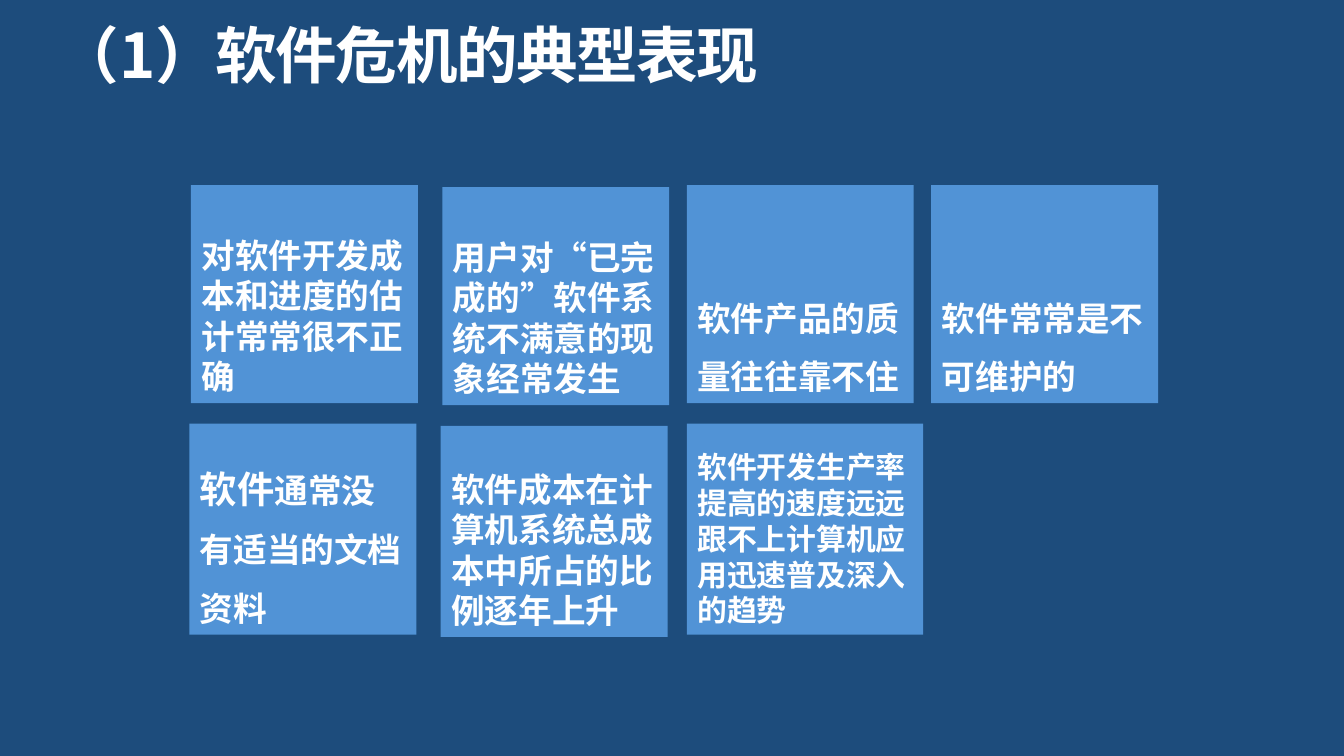
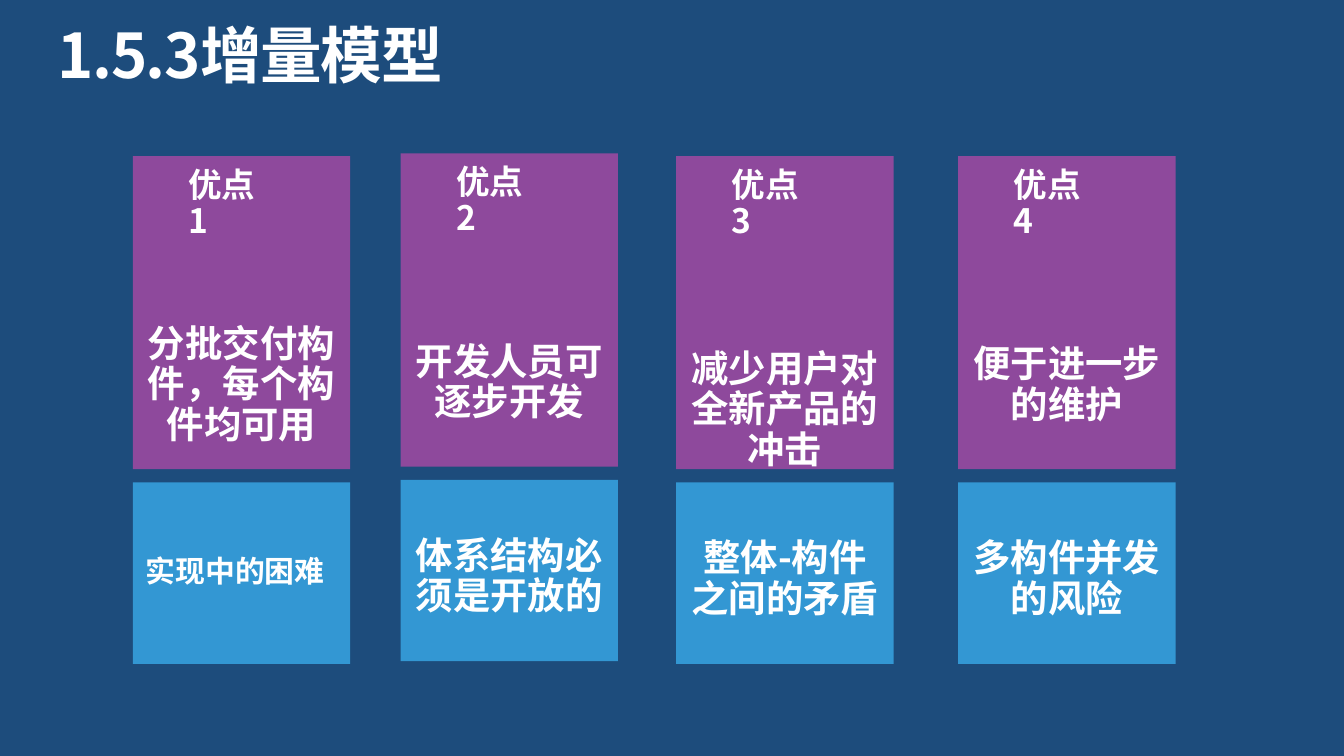
from dataclasses import dataclass

from lxml.etree import SubElement
from pptx import Presentation
from pptx.dml.color import RGBColor as RGB
from pptx.enum.shapes import MSO_SHAPE as Shape
from pptx.enum.text import MSO_ANCHOR as Anchor, MSO_AUTO_SIZE as AutoSize, PP_ALIGN as Align
from pptx.oxml.ns import qn
from pptx.util import Cm, Pt


@dataclass(frozen=True)
class Theme:
    font: str = "Noto Sans CJK SC"
    back: str = "1D4C7C"
    text: str = "FFFFFF"
    symptom: str = "5193D6"
    benefit: str = "8E499C"
    drawback: str = "3397D3"
    title: int = 33
    large: int = 20
    medium: int = 18
    small: int = 16


THEME = Theme()


def write(tf, *runs, align=Align.LEFT, leading=1.0, tracking=None):
    """Fill a text frame with one paragraph of (text, size) runs."""
    p = tf.paragraphs[0]
    p.alignment, p.line_spacing = align, leading
    for text, size in runs:
        r = p.add_run()
        r.text = text
        font = r.font
        font.name, font.size, font.bold = THEME.font, Pt(size), True
        font.color.rgb = RGB.from_string(THEME.text)
        props = r._r.get_or_add_rPr()
        SubElement(props, qn("a:ea"), typeface=THEME.font)
        if tracking is not None:
            props.set("spc", str(round(tracking * 100)))


def set_frame(tf, insets, anchor=Anchor.TOP):
    tf.word_wrap = True
    tf.vertical_anchor = anchor
    tf.margin_left, tf.margin_top, tf.margin_right, tf.margin_bottom = map(Cm, insets)


class Deck:
    def __init__(self, theme):
        self.theme = theme
        self.prs = Presentation()
        self.prs.slide_width, self.prs.slide_height = Cm(25.4), Cm(14.29)
        fill = self.prs.slide_master.background.fill
        fill.solid()
        fill.fore_color.rgb = RGB.from_string(theme.back)
        self.s = None

    def slide(self, title):
        self.s = self.prs.slides.add_slide(self.prs.slide_layouts[6])
        self.text(title, 1.09, 0.48, 23.24, 1.27, self.theme.title,
                  insets=(0, 0, 0, 0), tracking=-0.8)

    def text(self, text, x, y, w, h, size, insets, **style):
        tf = self.s.shapes.add_textbox(Cm(x), Cm(y), Cm(w), Cm(h)).text_frame
        set_frame(tf, insets)
        tf.auto_size = AutoSize.SHAPE_TO_FIT_TEXT
        write(tf, (text, size), leading=0.9, **style)

    def tile(self, runs, x, y, w, h, color, insets, anchor, **style):
        sp = self.s.shapes.add_shape(Shape.RECTANGLE, Cm(x), Cm(y), Cm(w), Cm(h))
        sp.shadow.inherit = False
        sp.fill.solid()
        sp.fill.fore_color.rgb = RGB.from_string(color)
        sp.line.fill.background()
        set_frame(sp.text_frame, insets, anchor)
        write(sp.text_frame, *runs, **style)


def symptoms_slide(deck):
    t = deck.theme
    deck.slide("（1）软件危机的典型表现")

    # Rows of tiles: left edges, top, height, then (runs, leading, width)
    wide, loose = 4.47, 1.45
    width = 4.29
    rows = [
        ((3.61, 8.36, 12.98, 17.6), 3.5, 4.12, [
            ([("对软件开发成本和进度的估计常常很不正确", t.medium)], 1, width),
            ([("用户对“已完成的”软件系统不满意的现象经常发生", t.medium)], 1, width),
            ([("软件产品的质量往往靠不住", t.medium)], loose, width),
            ([("软件常常是不可维护的", t.medium)], loose, width),
        ]),
        ((3.58, 8.33, 12.98), 8.01, 3.99, [
            ([("软件", t.large), ("通常没有适当的文档资料", t.medium)], loose, width),
            ([("软件成本在计算机系统总成本中所占的比例逐年上升", t.medium)], 1, width),
            ([("软件开发生产率提高的速度远远跟不上计算机应用迅速普及深入的趋势",
               t.small)], 1, wide),
        ]),
    ]
    for lefts, top, height, tiles in rows:
        for col, (x, (runs, leading, w)) in enumerate(zip(lefts, tiles)):
            drop = 0.04 if col == 1 else 0
            deck.tile(runs, x, top + drop, w, height, t.symptom,
                      (0.2, 0.13, 0.2, 0.13), Anchor.BOTTOM, leading=leading)


def incremental_slide(deck):
    t = deck.theme
    deck.slide("1.5.3增量模型")

    # Columns: left edge, top, benefit, its top inset, drawback
    columns = [
        (2.51, 2.95, "分批交付构件，每个构件均可用", 2.87, "实现中的困难"),
        (7.57, 2.9, "开发人员可逐步开发", 2.87, "体系结构必须是开放的"),
        (12.78, 2.95, "减少用户对全新产品的冲击", 3.81, "整体-构件之间的矛盾"),
        (18.11, 2.95, "便于进一步的维护", 2.87, "多构件并发的风险"),
    ]
    width = 4.11
    for n, (x, y, benefit, inset, drawback) in enumerate(columns, 1):
        # The first drawback is a smaller, left-aligned heading
        first = n == 1
        deck.tile([(drawback, t.small if first else t.large)],
                  x, y + 6.17, width, 3.43, t.drawback,
                  (0.25, 1.4 if first else 0.38, 0.25, 0.13),
                  Anchor.TOP if first else Anchor.MIDDLE,
                  align=Align.LEFT if first else Align.CENTER, leading=0.9)
        deck.tile([(benefit, t.large)], x, y, width, 5.92, t.benefit,
                  (0.2, inset, 0.2, 0.1), Anchor.MIDDLE,
                  align=Align.CENTER, leading=0.9)
        deck.text(f"优点{n}", x + 0.85, y + 0.03, 2, 1.07, t.medium,
                  insets=(0.2, 0.2, 0.2, 0.2))


def main():
    deck = Deck(THEME)
    symptoms_slide(deck)
    incremental_slide(deck)
    deck.prs.save("out.pptx")


if __name__ == "__main__":
    main()
